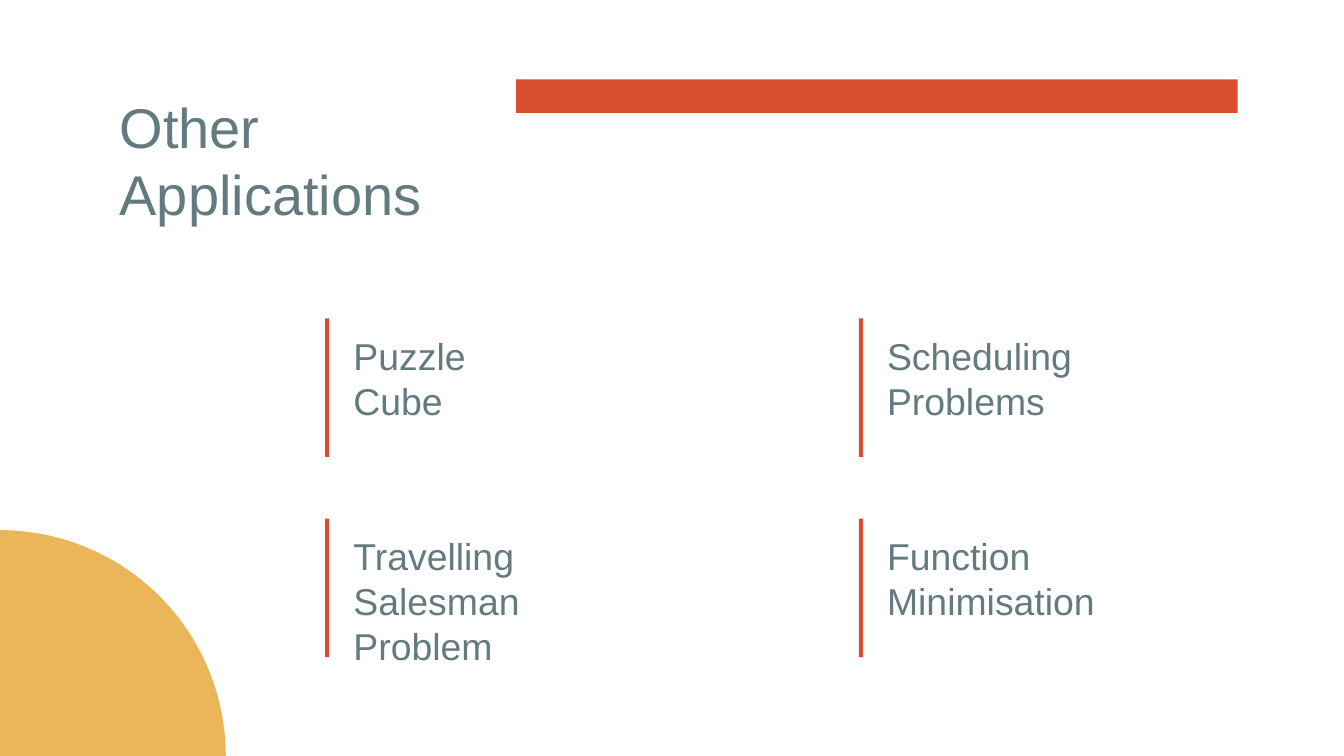
from math import cos, pi, sin

from lxml import etree
from pptx import Presentation
from pptx.dml.color import RGBColor
from pptx.enum.shapes import MSO_SHAPE
from pptx.enum.text import MSO_ANCHOR, MSO_AUTO_SIZE, PP_ALIGN
from pptx.oxml.ns import qn
from pptx.util import Inches, Pt

RECTANGLE = MSO_SHAPE.RECTANGLE
TOP = MSO_ANCHOR.TOP
LEFT = PP_ALIGN.LEFT
NO_AUTOFIT = MSO_AUTO_SIZE.NONE

RED = RGBColor(0xD8, 0x4E, 0x2E)
YELLOW = RGBColor(0xEB, 0xB5, 0x5A)
SLATE = RGBColor(0x63, 0x7B, 0x7F)
FONT = "Arial"

TITLE_LINES = ["Other", "Applications"]
APPLICATIONS = [
    ("Puzzle Cube", 1.35),
    ("Scheduling Problems", 2.1),
    ("Travelling Salesman Problem", 2.5),
    ("Function Minimisation", 1.98),
]

WIDTH = 10
HEIGHT = WIDTH * 9 / 16
GRID_LEFT, GRID_TOP = 2.42, 2.37
COLUMN_STEP, ROW_STEP = 3.97, 1.49
RULE_WIDTH, RULE_HEIGHT = 0.03, 1.03
LABEL_OFFSET = 0.11
RADIUS = 1.68
ARC_STEPS = 60


def paint(shape, color):
    shape.shadow.inherit = False
    shape.fill.solid()
    shape.fill.fore_color.rgb = color
    shape.line.fill.background()


def add_bar(slide, left, top, width, height):
    bar = slide.shapes.add_shape(
        RECTANGLE, Inches(left), Inches(top), Inches(width), Inches(height)
    )
    paint(bar, RED)


def add_quarter_disc(slide):
    angles = [pi / 2 * step / ARC_STEPS for step in range(ARC_STEPS + 1)]
    arc = [
        (Inches(RADIUS * sin(angle)), Inches(HEIGHT - RADIUS * cos(angle)))
        for angle in angles
    ]
    outline = slide.shapes.build_freeform(0, Inches(HEIGHT))
    outline.add_line_segments(arc, close=True)
    paint(outline.convert_to_shape(), YELLOW)


def write(placeholder, lines, box, size, space_after):
    left, top, width, height = (Inches(length) for length in box)
    placeholder.left, placeholder.top = left, top
    placeholder.width, placeholder.height = width, height
    frame = placeholder.text_frame
    frame.word_wrap = True
    frame.auto_size = NO_AUTOFIT
    frame.vertical_anchor = TOP
    frame.margin_left = frame.margin_right = Inches(0.1)
    frame.margin_top = frame.margin_bottom = Inches(0.1)
    paragraph = frame.paragraphs[0]
    paragraph.alignment = LEFT
    paragraph.line_spacing = 1.0
    paragraph.space_before = Pt(0)
    paragraph.space_after = Pt(space_after)
    properties = paragraph._p.get_or_add_pPr()
    properties.set("marL", "0")
    properties.set("indent", "0")
    etree.SubElement(properties, qn("a:buNone"))
    for index, line in enumerate(lines):
        if index:
            paragraph.add_line_break()
        run = paragraph.add_run()
        run.text = line
        run.font.name = FONT
        run.font.size = Pt(size)
        run.font.bold = False
        run.font.color.rgb = SLATE


def main():
    deck = Presentation()
    deck.slide_width, deck.slide_height = Inches(WIDTH), Inches(HEIGHT)
    comparison = deck.slide_layouts[4]
    slide = deck.slides.add_slide(comparison)
    title, *labels = slide.placeholders

    add_bar(slide, 3.84, 0.59, 5.37, 0.25)
    add_quarter_disc(slide)
    write(title, TITLE_LINES, (0.79, 0.59, 3.27, 0.63), 30, 0)

    for index, (label, (name, width)) in enumerate(zip(labels, APPLICATIONS)):
        row, column = divmod(index, 2)
        left = GRID_LEFT + column * COLUMN_STEP
        top = GRID_TOP + row * ROW_STEP
        add_bar(slide, left, top, RULE_WIDTH, RULE_HEIGHT)
        write(label, [name], (left + LABEL_OFFSET, top + 0.01, width, 0.37), 20, 16)

    deck.save("out.pptx")


if __name__ == "__main__":
    main()
